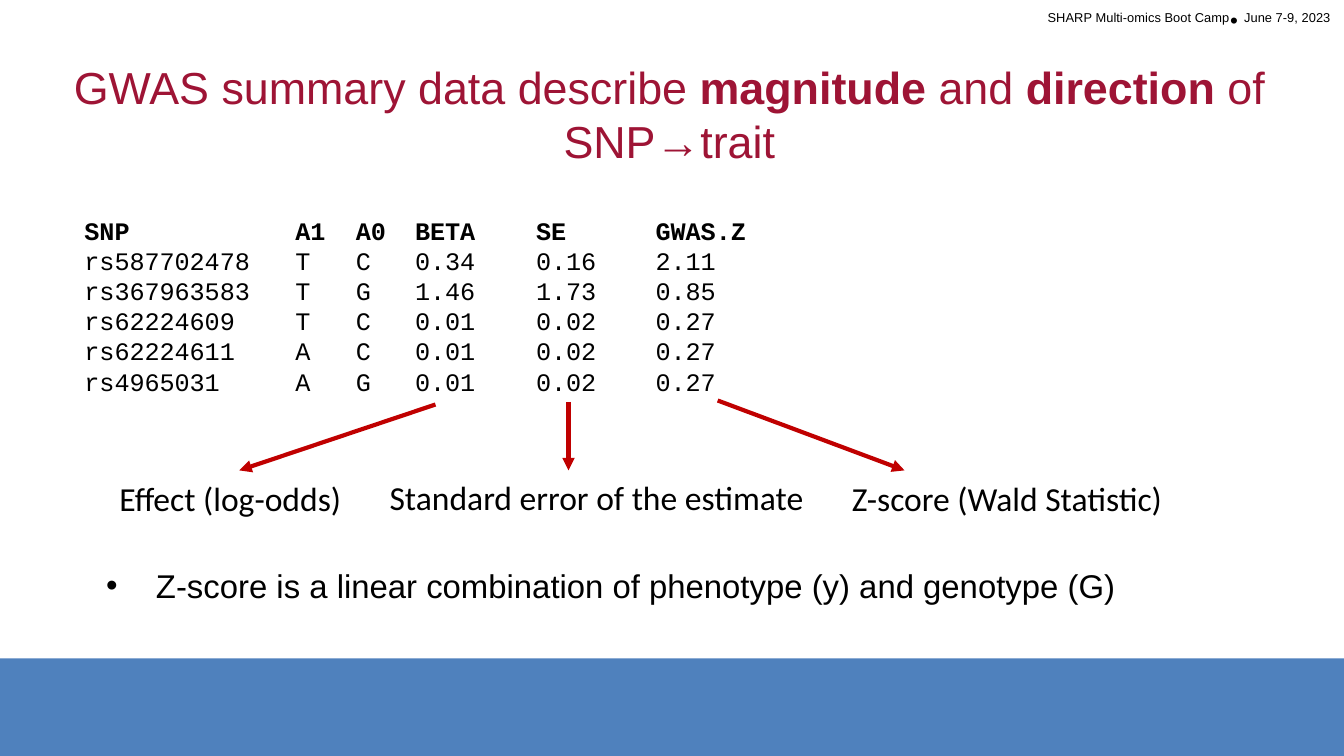
import pptx
import pptx.dml.color
import pptx.enum.shapes
import pptx.enum.text
import pptx.oxml
import pptx.oxml.ns
import pptx.util
from pptx.util import Inches

RGBColor = pptx.dml.color.RGBColor
BLACK = RGBColor(0x00, 0x00, 0x00)
CRIMSON = RGBColor(0x9E, 0x14, 0x35)
ARROW_RED = RGBColor(0xC0, 0x00, 0x00)
BAND_BLUE = RGBColor(0x4F, 0x81, 0xBD)
ALIGN = pptx.enum.text.PP_ALIGN
ANCHOR = pptx.enum.text.MSO_ANCHOR
AUTO_SIZE = pptx.enum.text.MSO_AUTO_SIZE


def set_font(paragraph, name, size, color=BLACK):
    paragraph.font.name = name
    paragraph.font.size = pptx.util.Pt(size)
    paragraph.font.color.rgb = color


def add_xml(parent, tag, **attributes):
    child = pptx.oxml.parse_xml(f"<a:{tag} {pptx.oxml.ns.nsdecls('a')}/>")
    for key, value in attributes.items():
        child.set(key, str(value))
    parent.append(child)
    return child


prs = pptx.Presentation()
prs.slide_width = Inches(10)
prs.slide_height = Inches(10 * 9 / 16)
slide = prs.slides.add_slide(prs.slide_layouts[1])
shapes = slide.shapes
title, takeaway = slide.placeholders

# Footer band
band = shapes.add_shape(pptx.enum.shapes.MSO_SHAPE.RECTANGLE,
                        Inches(0), Inches(4.9), Inches(10), Inches(0.74))
band.shadow.inherit = False
band.fill.solid()
band.fill.fore_color.rgb = BAND_BLUE
band.line.fill.background()

# Event line, with raised text around the dot
event = shapes.add_textbox(Inches(6.04), Inches(0), Inches(3.96), Inches(0.3))
event.text_frame.word_wrap = True
event_line = event.text_frame.paragraphs[0]
event_line.alignment = ALIGN.RIGHT
set_font(event_line, "Arial", 12)
for text, baseline in (("SHARP Multi-omics Boot Camp", 30000), ("• ", 0),
                       ("June 7-9, 2023", 30000)):
    run = event_line.add_run()
    run.text = text
    run._r.get_or_add_rPr().set("baseline", str(baseline))

# Title
title.left, title.top = Inches(0.29), Inches(0.3)
title.width, title.height = Inches(9.38), Inches(1.09)
title.text_frame.auto_size = AUTO_SIZE.NONE
title.text_frame.vertical_anchor = ANCHOR.MIDDLE
headline = title.text_frame.paragraphs[0]
headline.alignment = ALIGN.CENTER
set_font(headline, "Arial", 24, CRIMSON)
for text, bold in (("GWAS summary data describe ", False), ("magnitude", True),
                   (" and ", False), ("direction", True),
                   (" of SNP→trait", False)):
    run = headline.add_run()
    run.text = text
    run.font.bold = bold

# Summary statistics, in columns set by tab stops
gwas_rows = (
    ("SNP", "A1", "A0", "BETA", "SE", "GWAS.Z"),
    ("rs587702478", "T", "C", "0.34", "0.16", "2.11"),
    ("rs367963583", "T", "G", "1.46", "1.73", "0.85"),
    ("rs62224609", "T", "C", "0.01", "0.02", "0.27"),
    ("rs62224611", "A", "C", "0.01", "0.02", "0.27"),
    ("rs4965031", "A", "G", "0.01", "0.02", "0.27"),
)
column_stops = (1.57, 2.02, 2.46, 3.36, 4.25)
gwas_data = shapes.add_textbox(Inches(0.53), Inches(1.55), Inches(5.42), Inches(1.46))
gwas_data.text_frame.word_wrap = True
for i, row in enumerate(gwas_rows):
    line = gwas_data.text_frame.paragraphs[0] if i == 0 else gwas_data.text_frame.add_paragraph()
    tabs = add_xml(line._p.get_or_add_pPr(), "tabLst")
    for stop in column_stops:
        add_xml(tabs, "tab", pos=Inches(stop), algn="l")
    line.add_run().text = "\t".join(row)
    set_font(line, "Courier New", 13.5)
    line.font.bold = i == 0

# Column meanings, each with its arrow: text, left, top, width, start, end
meanings = (
    ("Effect (log-odds)", 0.79, 3.51, 1.88, (3.24, 3.01), (1.78, 3.5)),
    ("Standard error of the estimate", 2.8, 3.5, 3.32, (4.23, 2.99), (4.23, 3.5)),
    ("Z-score (Wald Statistic)", 6.24, 3.51, 2.54, (5.34, 2.98), (6.73, 3.5)),
)
for text, left, top, width, start, end in meanings:
    meaning = shapes.add_textbox(Inches(left), Inches(top), Inches(width), Inches(0.4))
    meaning.text_frame.word_wrap = False
    meaning.text_frame.text = text
    set_font(meaning.text_frame.paragraphs[0], "Calibri", 18)

    arrow = shapes.add_connector(pptx.enum.shapes.MSO_CONNECTOR.STRAIGHT,
                                 *map(Inches, start + end))
    arrow.line.color.rgb = ARROW_RED
    arrow.line.width = pptx.util.Pt(2.25)
    add_xml(arrow.line._get_or_add_ln(), "tailEnd", type="triangle")
    add_xml(arrow._element.spPr, "effectLst")

# Takeaway bullet
takeaway.left, takeaway.top = Inches(0.69), Inches(4.16)
takeaway.width, takeaway.height = Inches(8.62), Inches(0.54)
takeaway.text_frame.auto_size = AUTO_SIZE.NONE
takeaway.text_frame.text = "Z-score is a linear combination of phenotype (y) and genotype (G)"
point = takeaway.text_frame.paragraphs[0]
point.space_before = pptx.util.Pt(0)
point_format = point._p.get_or_add_pPr()
point_format.set("marL", str(Inches(0.37)))
point_format.set("indent", str(Inches(-0.37)))
add_xml(point_format, "buChar", char="•")
set_font(point, "Arial", 17.6)

prs.save("out.pptx")
